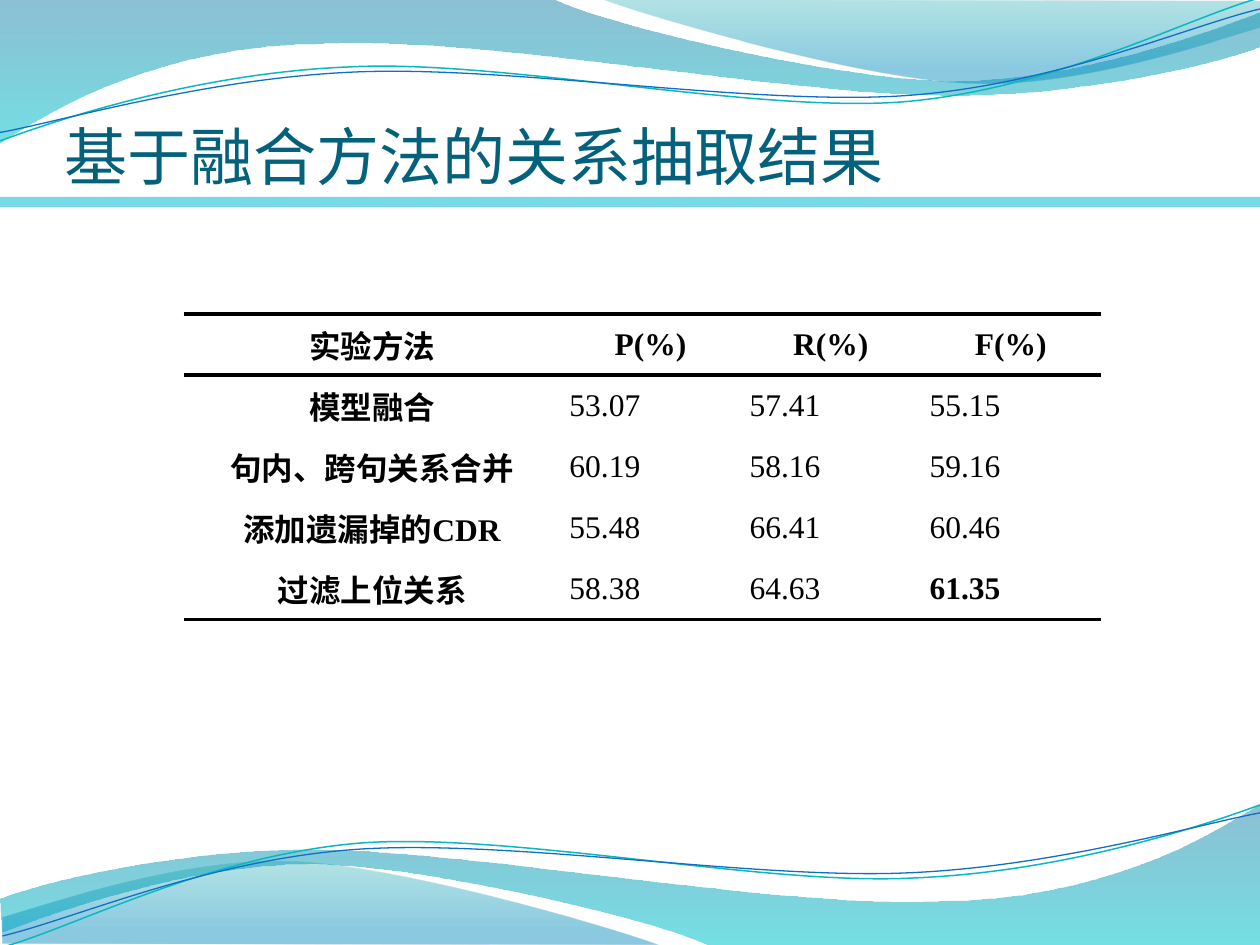
from math import cos, radians, sin

from lxml.etree import SubElement
from pptx import Presentation
from pptx.dml.color import RGBColor
from pptx.enum.shapes import MSO_SHAPE as Shape
from pptx.enum.text import MSO_ANCHOR as Anchor, MSO_AUTO_SIZE as AutoSize, PP_ALIGN as Align
from pptx.oxml import parse_xml
from pptx.oxml.ns import nsdecls, qn
from pptx.util import Cm, Pt

WIDTH, HEIGHT = 25.4, 19.05
MIRROR_WIDTH = 25.45
TILT = 2.7
PLAIN_TABLE_STYLE = "{2D5ABB26-0587-4C30-8999-92F81FD0307C}"

BANDS = [
    ([[(0, 0)], [(11.18, 0)],
      [(12.09, 0.46), (16.87, 1.63), (19.25, 1.63)],
      [(21.67, 1.63), (24.33, 0.66), (25.4, 0.25)], [(25.43, 0.94)],
      [(24.97, 1.14), (22.1, 1.96), (18.95, 1.93)],
      [(15.8, 1.9), (9.7, 0.74), (6.53, 0.89)],
      [(3.28, 0.91), (1.17, 2.13), (-0.03, 2.9)]],
     [("0074A1", 0, 45), ("00C6CF", 1, 55)]),
    ([[(12.17, 0)],
      [(12.93, 0.3), (17.32, 1.6), (19.53, 1.68)],
      [(21.74, 1.78), (24.41, 0.84), (25.4, 0.56)], [(25.4, 0.03)]],
     [("00A1A9", 0, 30), ("008BBF", 0.8, 45)]),
]
WAVE_LINES = [
    ([[(0, 2.84)],
      [(1.22, 2.39), (4.01, 1.47), (7.04, 1.35)],
      [(10.03, 1.19), (15.06, 2.26), (18.11, 2.06)],
      [(21.16, 1.83), (23.83, 0.41), (25.35, -0.03)]], "0AB8BF", 0.85),
    ([[(0, 2.67)],
      [(1.19, 2.46), (4.17, 1.57), (7.19, 1.45)],
      [(10.24, 1.32), (15.16, 2.13), (18.21, 1.93)],
      [(21.23, 1.73), (23.93, 0.53), (25.4, 0.18)]], "0F6FC6", 0.75),
]
RESULTS = [
    ["实验方法", "P(%)", "R(%)", "F(%)"],
    ["模型融合", "53.07", "57.41", "55.15"],
    ["句内、跨句关系合并", "60.19", "58.16", "59.16"],
    ["添加遗漏掉的CDR", "55.48", "66.41", "60.46"],
    ["过滤上位关系", "58.38", "64.63", "61.35"],
]


def color(value):
    """Return the colour for a hex string."""
    return RGBColor.from_string(value)


def apply(target, values):
    """Set each attribute of the target from a dict."""
    for name, value in values.items():
        setattr(target, name, value)


def turn(point, center, degrees):
    """Turn a point clockwise about a center."""
    angle = radians(degrees)
    dx, dy = point[0] - center[0], point[1] - center[1]
    return (center[0] + dx * cos(angle) - dy * sin(angle),
            center[1] + dx * sin(angle) + dy * cos(angle))


def add_outline(slide, segments, mirrored, closed, tilt=0):
    """Draw lines and cubic curves at the top, or turned half round at the bottom."""
    center = (12.68, 1.49)
    segments = [[turn(point, center, tilt) for point in segment] for segment in segments]
    if mirrored:
        segments = [[(MIRROR_WIDTH - x, HEIGHT - y) for x, y in segment]
                    for segment in segments]
    segments = [[(Cm(x), Cm(y)) for x, y in segment] for segment in segments]
    ends = [segment[-1] for segment in segments]
    builder = slide.shapes.build_freeform(*ends[0], scale=1.0)
    builder.add_line_segments(ends[1:], close=closed)
    shape = builder.convert_to_shape()
    for element, segment in zip(shape._element.xpath(".//a:lnTo"), segments[1:]):
        if len(segment) == 3:
            points = "".join(f'<a:pt x="{x - shape.left}" y="{y - shape.top}"/>'
                             for x, y in segment)
            element.getparent().replace(element, parse_xml(
                f'<a:cubicBezTo {nsdecls("a")}>{points}</a:cubicBezTo>'))
    apply(shape, dict(rotation=-tilt % 360))
    shape.shadow.inherit = False
    return shape


def add_band(slide, segments, stops, mirrored):
    """Add a wave filled with a translucent vertical gradient."""
    shape = add_outline(slide, segments, mirrored, True)
    shape.line.fill.background()
    shape.fill.gradient()
    shape.fill.gradient_angle = 270
    for stop, (value, position, _) in zip(shape.fill.gradient_stops, stops):
        stop.color.rgb = color(value)
        stop.position = position
    elements = shape._element.spPr.iter(qn("a:srgbClr"))
    for element, (_, _, opacity) in zip(list(elements), stops):
        SubElement(element, qn("a:alpha"), val=str(opacity * 1000))


def add_wave_line(slide, segments, value, width, mirrored):
    """Add a thin wavy line."""
    shape = add_outline(slide, segments, mirrored, False, TILT)
    shape.fill.background()
    shape.line.color.rgb = color(value)
    shape.line.width = Pt(width)


def add_rule(slide):
    """Add the bar under the title."""
    shape = slide.shapes.add_shape(Shape.RECTANGLE, 0, Cm(3.97), Cm(WIDTH), Cm(0.2))
    shape.shadow.inherit = False
    shape.fill.solid()
    shape.fill.fore_color.rgb = color("77D9E8")
    shape.line.fill.background()


def set_title(slide, text):
    """Place, fill and format the title placeholder."""
    title = slide.shapes.title
    apply(title, dict(left=Cm(1.3), top=Cm(0.71), width=Cm(17.2), height=Cm(3.18)))
    frame = title.text_frame
    frame.text = text
    apply(frame, dict(auto_size=AutoSize.NONE, vertical_anchor=Anchor.BOTTOM,
                      margin_left=0, margin_right=0, margin_top=Cm(0.13), margin_bottom=0))
    paragraph = frame.paragraphs[0]
    paragraph.alignment = Align.LEFT
    apply(paragraph.runs[0].font, dict(name="Calibri", size=Pt(36)))
    paragraph.runs[0].font.color.rgb = color("04617B")
    slide.shapes._spTree.append(title._element)


def add_borders(cell, sides):
    """Give the cell black borders on the named sides."""
    properties = cell._tc.get_or_add_tcPr()
    for index, side in enumerate(sides):
        properties.insert(index, parse_xml(
            f'<a:ln{side} {nsdecls("a")} w="{Pt(2)}"><a:solidFill>'
            f'<a:srgbClr val="000000"/></a:solidFill></a:ln{side}>'))


def fill_cell(cell, text, bold, alignment):
    """Write and format one table cell."""
    cell.text = text
    apply(cell, dict(vertical_anchor=Anchor.MIDDLE, margin_left=Cm(0.18),
                     margin_right=Cm(0.18), margin_top=0, margin_bottom=0))
    cell.fill.solid()
    cell.fill.fore_color.rgb = color("FFFFFF")
    paragraph = cell.text_frame.paragraphs[0]
    paragraph.alignment = alignment
    font = paragraph.runs[0].font
    apply(font, dict(name="Times New Roman", size=Pt(18), bold=bold))
    font.color.rgb = color("000000")
    SubElement(font._element, qn("a:ea"), typeface="Noto Sans CJK SC")


def add_results(slide, rows):
    """Add the three-line table of results."""
    last = len(rows) - 1
    table = slide.shapes.add_table(len(rows), len(rows[0]), Cm(3.7), Cm(6.33),
                                   Cm(18.49), Cm(6.15)).table
    apply(table, dict(first_row=False, horz_banding=False))
    table._tbl.tblPr.find(qn("a:tableStyleId")).text = PLAIN_TABLE_STYLE
    for column, width in zip(table.columns, (7.6, 3.63, 3.63, 3.63)):
        column.width = Cm(width)
    sides = {0: "TB", last: "B"}
    for r, row in enumerate(rows):
        table.rows[r].height = Cm(1.23)
        for c, text in enumerate(row):
            heading = r == 0 or c == 0
            best = (r, c) == (last, len(row) - 1)
            cell = table.cell(r, c)
            fill_cell(cell, text, heading or best, Align.CENTER if heading else Align.JUSTIFY)
            add_borders(cell, sides.get(r, ""))


def main():
    """Build and save the slide."""
    presentation = Presentation()
    apply(presentation, dict(slide_width=Cm(WIDTH), slide_height=Cm(HEIGHT)))
    slide = presentation.slides.add_slide(presentation.slide_layouts[5])
    for mirrored in (False, True):
        for segments, stops in BANDS:
            add_band(slide, segments, stops, mirrored)
        for segments, value, width in WAVE_LINES:
            add_wave_line(slide, segments, value, width, mirrored)
    add_rule(slide)
    set_title(slide, "基于融合方法的关系抽取结果")
    add_results(slide, RESULTS)
    presentation.save("out.pptx")


if __name__ == "__main__":
    main()
